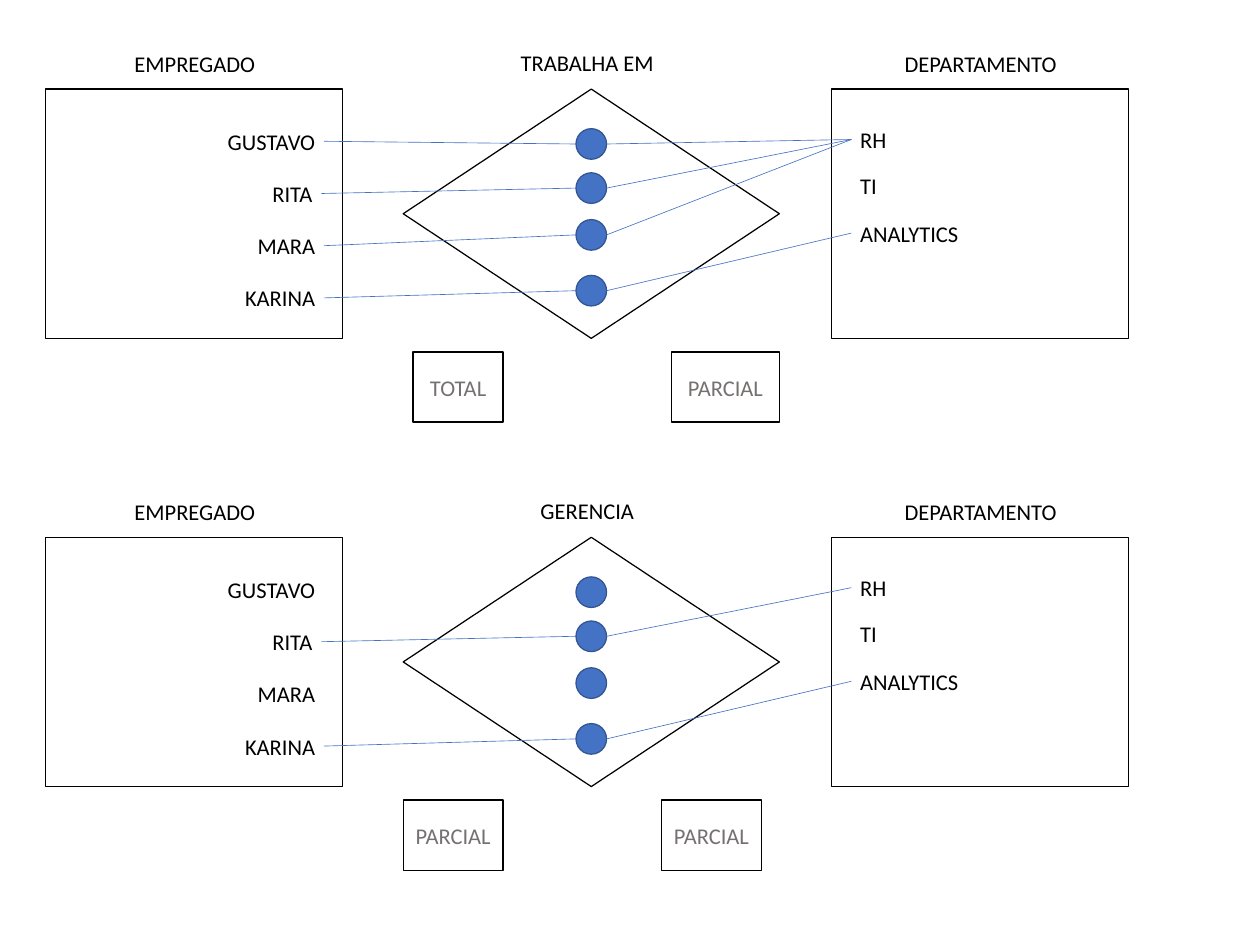
from lxml import etree
from pptx import Presentation
from pptx.dml.color import RGBColor
from pptx.enum.shapes import MSO_CONNECTOR, MSO_SHAPE
from pptx.enum.text import MSO_ANCHOR, PP_ALIGN
from pptx.oxml.ns import qn
from pptx.util import Inches, Pt

RECTANGLE, DIAMOND, OVAL = MSO_SHAPE.RECTANGLE, MSO_SHAPE.DIAMOND, MSO_SHAPE.OVAL
STRAIGHT = MSO_CONNECTOR.STRAIGHT
LEFT, CENTER, RIGHT = PP_ALIGN.LEFT, PP_ALIGN.CENTER, PP_ALIGN.RIGHT
MIDDLE = MSO_ANCHOR.MIDDLE

BLACK = RGBColor(0x00, 0x00, 0x00)
GRAY = RGBColor(0x76, 0x71, 0x71)
BLUE = RGBColor(0x44, 0x72, 0xC4)
DARK_BLUE = RGBColor(0x32, 0x54, 0x91)

# Sizes and offsets in inches
ENTITY_WIDTH, ENTITY_HEIGHT = 3.3, 2.77
DIAMOND_WIDTH = 4.18
DIAMOND_OFFSET, DEPARTMENT_OFFSET = 3.97, 8.73
LABEL_WIDTH, LABEL_HEIGHT = 2.87, 0.58
LABEL_INSET = 0.22
DOT_SIZE = 0.34
BADGE_OFFSET, BADGE_HEIGHT = 2.92, 0.78

EMPLOYEES = ["GUSTAVO", "RITA", "MARA", "KARINA"]
EMPLOYEE_SHIFTS = [0, -0.03, 0, 0]
EMPLOYEE_CENTERS = [0.58 * (row + 1) for row in range(len(EMPLOYEES))]
DEPARTMENTS = ["RH", "TI", "ANALYTICS"]
DEPARTMENT_CENTERS = [0.56, 1.07, 1.6]
DOT_CENTERS = [0.61, 1.1, 1.62, 2.24]

# Links map an employee row to a department row;
# badges hold text, offset from the panel's left edge, and width
PANELS = [
    {"top": 0.99, "title": "TRABALHA EM",
     "links": {0: 0, 1: 0, 2: 0, 3: 2},
     "badges": [("TOTAL", 4.08, 1), ("PARCIAL", 6.95, 1.2)]},
    {"top": 5.97, "title": "GERENCIA",
     "links": {1: 0, 3: 2},
     "badges": [("PARCIAL", 3.97, 1.11), ("PARCIAL", 6.84, 1.11)]},
]


def write_text(shape, text, color=BLACK, align=CENTER):
    frame = shape.text_frame
    frame.word_wrap = True
    frame.vertical_anchor = MIDDLE
    paragraph = frame.paragraphs[0]
    paragraph.alignment = align
    run = paragraph.add_run()
    run.text = text
    run.font.name = "Calibri"
    run.font.size = Pt(18)
    run.font.color.rgb = color


def add_label(slide, text, left, center, align=CENTER):
    box = slide.shapes.add_textbox(
        Inches(left), Inches(center - LABEL_HEIGHT / 2),
        Inches(LABEL_WIDTH), Inches(LABEL_HEIGHT))
    write_text(box, text, align=align)


def add_outline(slide, kind, left, top, width, height, fill=None, line=BLACK):
    shape = slide.shapes.add_shape(
        kind, Inches(left), Inches(top), Inches(width), Inches(height))
    shape.shadow.inherit = False
    if fill is None:
        shape.fill.background()
    else:
        shape.fill.solid()
        shape.fill.fore_color.rgb = fill
    shape.line.color.rgb = line
    shape.line.width = Pt(1)
    return shape


def add_link(slide, start, end):
    connector = slide.shapes.add_connector(
        STRAIGHT, *(Inches(value) for value in (*start, *end)))
    connector.line.color.rgb = BLUE
    connector.line.width = Pt(0.5)
    etree.SubElement(connector._element.spPr, qn("a:effectLst"))


def add_entity(slide, left, top, title, members, centers, shifts, align):
    """Draw a titled box with one label per member."""
    add_outline(slide, RECTANGLE, left, top, ENTITY_WIDTH, ENTITY_HEIGHT)
    label_left = left + LABEL_INSET
    add_label(slide, title, label_left, top - LABEL_HEIGHT / 2)
    for member, center, shift in zip(members, centers, shifts):
        add_label(slide, member, label_left + shift, top + center, align)


def add_relationship(slide, left, top, title):
    """Draw the titled diamond with its column of dots."""
    add_outline(slide, DIAMOND, left, top, DIAMOND_WIDTH, ENTITY_HEIGHT)
    add_label(slide, title, left + 0.61, top - 0.3)
    dot_left = left + (DIAMOND_WIDTH - DOT_SIZE) / 2
    for center in DOT_CENTERS:
        add_outline(slide, OVAL, dot_left, top + center - DOT_SIZE / 2,
                    DOT_SIZE, DOT_SIZE, fill=BLUE, line=DARK_BLUE)


def add_links(slide, left, top, links):
    """Join employees to dots and dots to departments."""
    employee_edge = left + LABEL_INSET + LABEL_WIDTH
    dot_left = left + DIAMOND_OFFSET + (DIAMOND_WIDTH - DOT_SIZE) / 2
    department_edge = left + DEPARTMENT_OFFSET + LABEL_INSET
    for employee, department in links.items():
        dot_y = top + DOT_CENTERS[employee]
        add_link(slide, (employee_edge + EMPLOYEE_SHIFTS[employee],
                         top + EMPLOYEE_CENTERS[employee]), (dot_left, dot_y))
        add_link(slide, (dot_left + DOT_SIZE, dot_y),
                 (department_edge, top + DEPARTMENT_CENTERS[department]))


def add_panel(slide, left, top, title, links, badges):
    # Entities and the relationship between them
    add_entity(slide, left, top, "EMPREGADO", EMPLOYEES,
               EMPLOYEE_CENTERS, EMPLOYEE_SHIFTS, RIGHT)
    add_entity(slide, left + DEPARTMENT_OFFSET, top, "DEPARTAMENTO", DEPARTMENTS,
               DEPARTMENT_CENTERS, [0] * len(DEPARTMENTS), LEFT)
    add_relationship(slide, left + DIAMOND_OFFSET, top, title)
    add_links(slide, left, top, links)

    # Participation badges
    for text, offset, width in badges:
        badge = add_outline(slide, RECTANGLE, left + offset, top + BADGE_OFFSET,
                            width, BADGE_HEIGHT)
        write_text(badge, text, color=GRAY)


def main():
    presentation = Presentation()
    presentation.slide_width = Inches(14)
    presentation.slide_height = Inches(10.5)
    slide = presentation.slides.add_slide(presentation.slide_layouts[6])
    for panel in PANELS:
        add_panel(slide, left=0.51, **panel)
    presentation.save("out.pptx")


if __name__ == "__main__":
    main()
